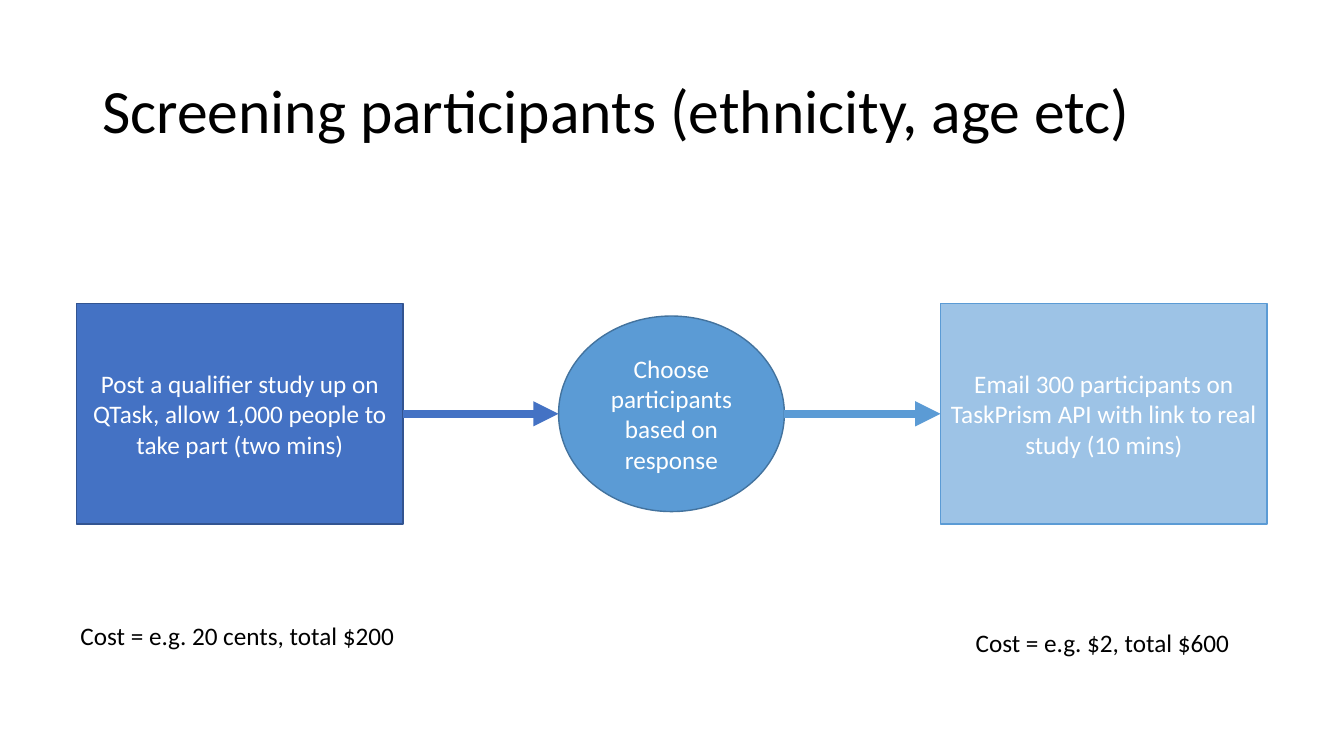
from typing import NamedTuple

from lxml import etree
from pptx import Presentation
from pptx import util as u
from pptx.dml import color
from pptx.enum import shapes, text
from pptx.oxml import ns

FONT = "Calibri"
MIDDLE = 295.6
RECTANGLE = shapes.MSO_SHAPE.RECTANGLE
OVAL = shapes.MSO_SHAPE.OVAL


class Stage(NamedTuple):
    kind: shapes.MSO_SHAPE
    left: float
    width: float
    height: float
    fill: str
    outline: str
    label: str


class Label(NamedTuple):
    left: float
    top: float
    width: float
    height: float
    label: str
    size: float = 18
    wrap: bool = False
    spacing: float = 1.0


STAGES = [
    Stage(RECTANGLE, 54.7, 233.3, 157.7, "4472C4", "325491",
          "Post a qualifier study up on QTask, allow 1,000 people to take part (two mins)"),
    Stage(OVAL, 399, 161.3, 139.7, "5B9BD5", "43739E",
          "Choose participants based on response"),
    Stage(RECTANGLE, 671.8, 233.3, 157.7, "9DC3E6", "5B9BD5",
          "Email 300 participants on TaskPrism API with link to real study (10 mins)"),
]
LABELS = [
    Label(66, 28.8, 828, 104.4, "Screening participants (ethnicity, age etc)", 44, True, 0.9),
    Label(50.4, 439.2, 241.2, 29, "Cost = e.g. 20 cents, total $200"),
    Label(689.8, 444.2, 198, 29, "Cost = e.g. $2, total $600"),
]


def rgb(value: str) -> color.RGBColor:
    return color.RGBColor.from_string(value)


def write(shape, label: str, size: float, ink: str, align: text.PP_ALIGN, spacing: float = 1.0):
    shape.text_frame.vertical_anchor = text.MSO_ANCHOR.MIDDLE
    paragraph = shape.text_frame.paragraphs[0]
    paragraph.alignment = align
    paragraph.line_spacing = spacing
    run = paragraph.add_run()
    run.text = label
    run.font.name = FONT
    run.font.size = u.Pt(size)
    run.font.color.rgb = rgb(ink)


def add_stage(slide, stage: Stage):
    shape = slide.shapes.add_shape(
        stage.kind, u.Pt(stage.left), u.Pt(MIDDLE - stage.height / 2),
        u.Pt(stage.width), u.Pt(stage.height))
    shape.shadow.inherit = False
    shape.fill.solid()
    shape.fill.fore_color.rgb = rgb(stage.fill)
    shape.line.color.rgb = rgb(stage.outline)
    shape.line.width = u.Pt(1)
    shape.text_frame.word_wrap = True
    write(shape, stage.label, 18, "FFFFFF", text.PP_ALIGN.CENTER)
    return shape


def add_label(slide, label: Label) -> None:
    shape = slide.shapes.add_textbox(
        u.Pt(label.left), u.Pt(label.top), u.Pt(label.width), u.Pt(label.height))
    shape.text_frame.word_wrap = label.wrap
    write(shape, label.label, label.size, "000000", text.PP_ALIGN.LEFT, label.spacing)


def add_arrow(slide, start: Stage, end: Stage, ink: str):
    arrow = slide.shapes.add_connector(
        shapes.MSO_CONNECTOR.STRAIGHT, u.Pt(start.left + start.width), u.Pt(MIDDLE),
        u.Pt(end.left), u.Pt(MIDDLE))
    arrow.line.color.rgb = rgb(ink)
    arrow.line.width = u.Pt(6)
    etree.SubElement(arrow.line._get_or_add_ln(), ns.qn("a:tailEnd"), type="triangle")
    etree.SubElement(arrow._element.spPr, ns.qn("a:effectLst"))
    return arrow


def main() -> None:
    presentation = Presentation()
    presentation.slide_width = u.Pt(960)
    presentation.slide_height = u.Pt(540)
    slide = presentation.slides.add_slide(presentation.slide_layouts[6])

    for label in LABELS:
        add_label(slide, label)

    post, choose, email = STAGES
    post_box, _, email_box = [add_stage(slide, stage) for stage in STAGES]
    add_arrow(slide, post, choose, post.fill).begin_connect(post_box, 3)
    add_arrow(slide, choose, email, choose.fill).end_connect(email_box, 1)

    presentation.save("out.pptx")


if __name__ == "__main__":
    main()
